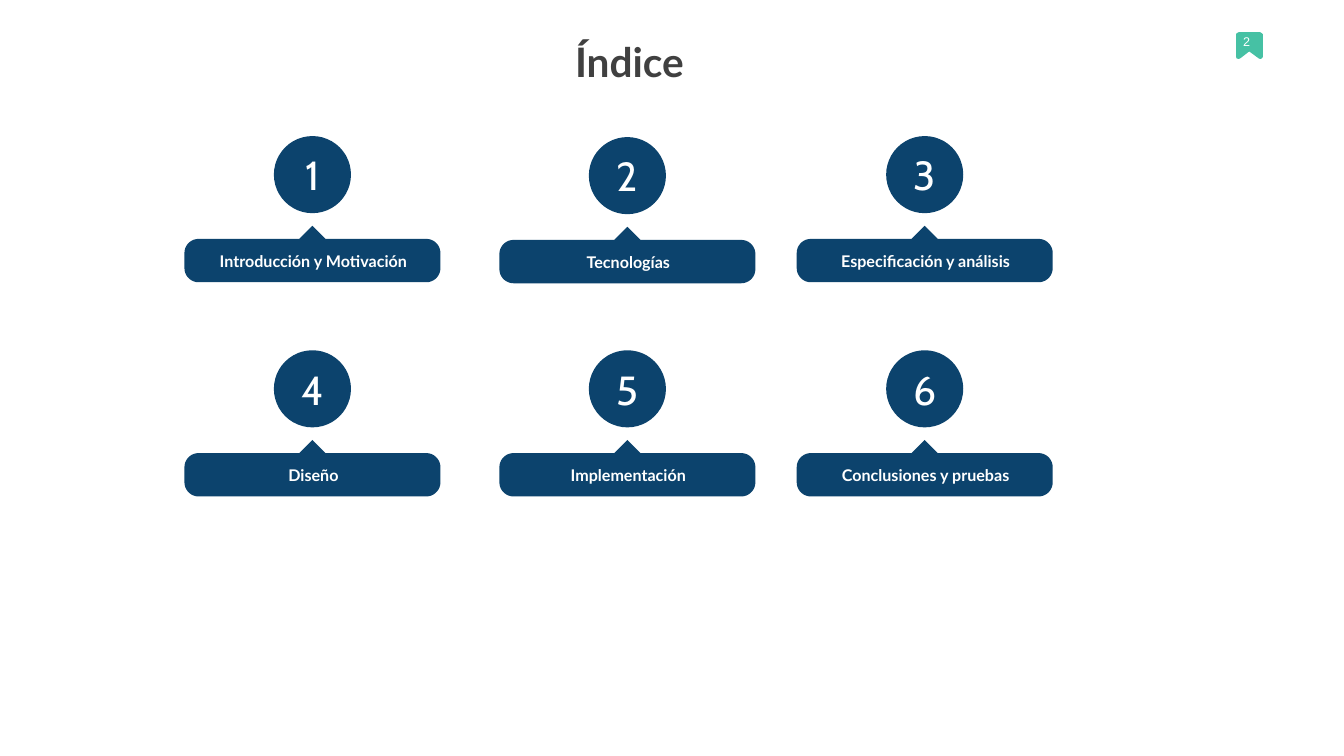
"""Build the index slide with six numbered sections."""
from math import cos, radians, sin

from pptx import Presentation
from pptx.dml.color import RGBColor
from pptx.enum.shapes import MSO_SHAPE
from pptx.enum.text import MSO_ANCHOR, MSO_AUTO_SIZE, PP_ALIGN
from pptx.util import Inches, Pt

NAVY = RGBColor(0x0C, 0x43, 0x6D)
TEAL = RGBColor(0x46, 0xC1, 0xA4)
WHITE = RGBColor(0xFF, 0xFF, 0xFF)
DARK_GRAY = RGBColor(0x40, 0x40, 0x40)

TITLE_FONT = {"name": "Lato", "size": Pt(58), "bold": True}
NUMBER_FONT = {"name": "Cabin", "size": Pt(58), "bold": False}
LABEL_FONT = {"name": "Lato", "size": Pt(23), "bold": True}
PAGE_FONT = {"name": "Arial", "size": Pt(18), "bold": False}

SECTIONS = [
    "Introducción y Motivación", "Tecnologías", "Especificación y análisis",
    "Diseño", "Implementación", "Conclusiones y pruebas",
]
COLUMN_LEFTS = [3.66, 9.91, 15.81]
ROW_TOPS = [2.7, 6.95]
BAR_WIDTH, BAR_HEIGHT, BAR_RADIUS = 5.08, 0.86, 0.28
POINTER = 0.26
CIRCLE_SIZE = 1.53


def write(shape, text, font_format, color, alignment=PP_ALIGN.CENTER,
          anchor=MSO_ANCHOR.MIDDLE, margin=0):
    frame = shape.text_frame
    frame_format = {
        "word_wrap": True, "auto_size": MSO_AUTO_SIZE.NONE,
        "vertical_anchor": anchor,
        "margin_left": Inches(margin), "margin_right": Inches(margin),
        "margin_top": Inches(margin), "margin_bottom": Inches(margin),
    }
    for name, value in frame_format.items():
        setattr(frame, name, value)
    paragraph = frame.paragraphs[0]
    paragraph.text = text
    paragraph.alignment = alignment
    for name, value in font_format.items():
        setattr(paragraph.font, name, value)
    paragraph.font.color.rgb = color


def draw_outline(shapes, points, color):
    corners = [(Inches(x), Inches(y)) for x, y in points]
    builder = shapes.build_freeform(*corners[0])
    builder.add_line_segments(corners[1:], close=True)
    shape = builder.convert_to_shape()
    shape.shadow.inherit = False
    shape.fill.solid()
    shape.fill.fore_color.rgb = color
    shape.line.fill.background()


presentation = Presentation()
presentation.slide_width = Inches(26.67)
presentation.slide_height = Inches(15)
slide = presentation.slides.add_slide(presentation.slide_layouts[5])
shapes = slide.shapes

title = shapes.title
title.left, title.top = Inches(2.76), Inches(0.69)
title.width, title.height = Inches(19.46), Inches(1.07)
write(title, "Índice", TITLE_FONT, DARK_GRAY, margin=0.06)

bookmark = [
    (24.53, 0.68), (24.54, 0.66), (24.58, 0.64), (25.01, 0.64),
    (25.04, 0.66), (25.06, 0.68), (25.06, 1.13), (25.04, 1.16),
    (25.01, 1.17), (24.98, 1.16), (24.79, 1.02), (24.61, 1.16),
    (24.58, 1.17), (24.54, 1.16), (24.53, 1.13),
]
draw_outline(shapes, bookmark, TEAL)
page_number = shapes.add_textbox(
    Inches(24.67), Inches(0.67), Inches(0.26), Inches(0.39))
write(page_number, "2", PAGE_FONT, WHITE, PP_ALIGN.LEFT, MSO_ANCHOR.TOP)

for index, section in enumerate(SECTIONS):
    row, column = divmod(index, len(COLUMN_LEFTS))
    left, top = COLUMN_LEFTS[column], ROW_TOPS[row]
    if section == "Tecnologías":
        top += 0.02
    center = left + BAR_WIDTH / 2
    pointer_top = top + 1.78
    bar_top = pointer_top + POINTER

    outline = [(center - POINTER, bar_top), (center, pointer_top),
               (center + POINTER, bar_top)]
    right_center, left_center = left + BAR_WIDTH - BAR_RADIUS, left + BAR_RADIUS
    upper_center, lower_center = bar_top + BAR_RADIUS, bar_top + BAR_HEIGHT - BAR_RADIUS
    arcs = [(right_center, upper_center, -90), (right_center, lower_center, 0),
            (left_center, lower_center, 90), (left_center, upper_center, 180)]
    for arc_x, arc_y, start in arcs:
        for angle in range(start, start + 91, 10):
            outline.append((arc_x + BAR_RADIUS * cos(radians(angle)),
                            arc_y + BAR_RADIUS * sin(radians(angle))))
    draw_outline(shapes, outline, NAVY)

    label = shapes.add_textbox(
        Inches(left + 0.1), Inches(pointer_top + 0.5), Inches(4.92), Inches(0.39))
    write(label, section, LABEL_FONT, WHITE, anchor=MSO_ANCHOR.TOP)

    circle = shapes.add_shape(
        MSO_SHAPE.OVAL, Inches(center - CIRCLE_SIZE / 2), Inches(top),
        Inches(CIRCLE_SIZE), Inches(CIRCLE_SIZE))
    circle.shadow.inherit = False
    circle.fill.solid()
    circle.fill.fore_color.rgb = NAVY
    circle.line.fill.background()
    write(circle, str(index + 1), NUMBER_FONT, WHITE)

presentation.save("out.pptx")
